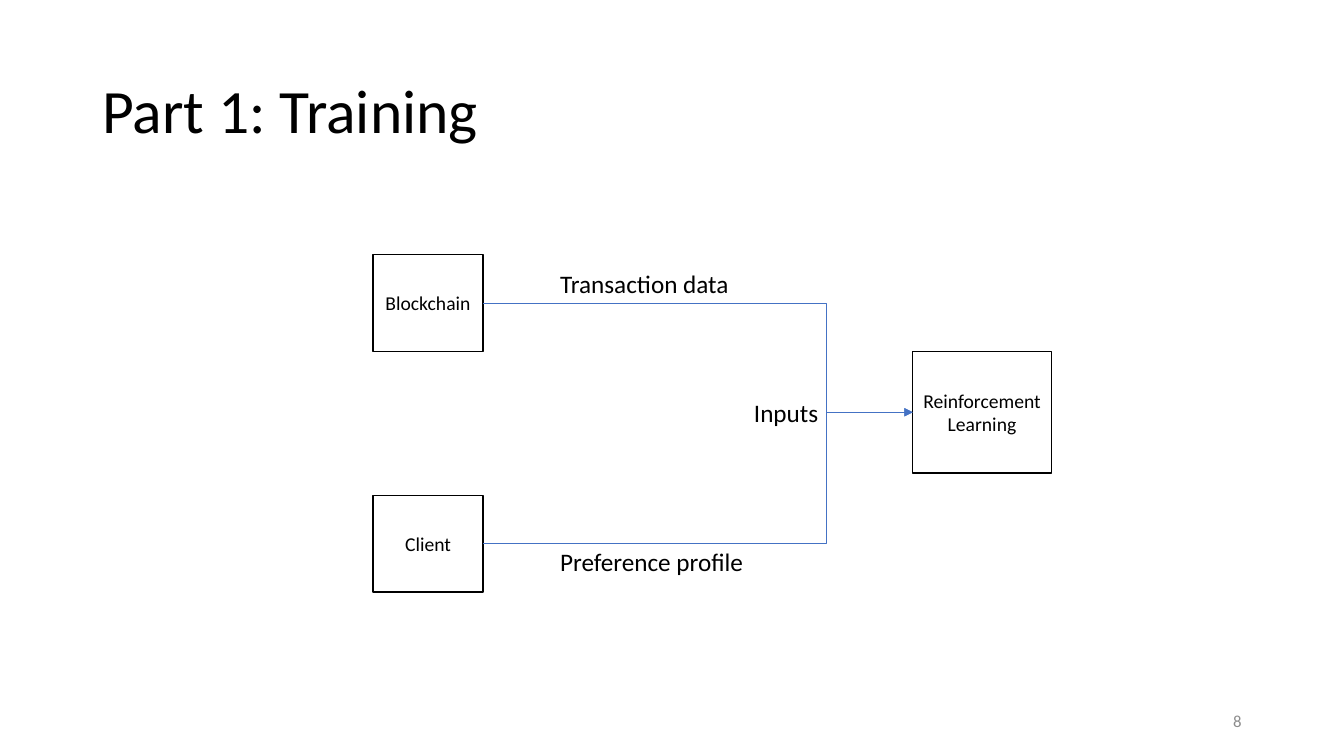
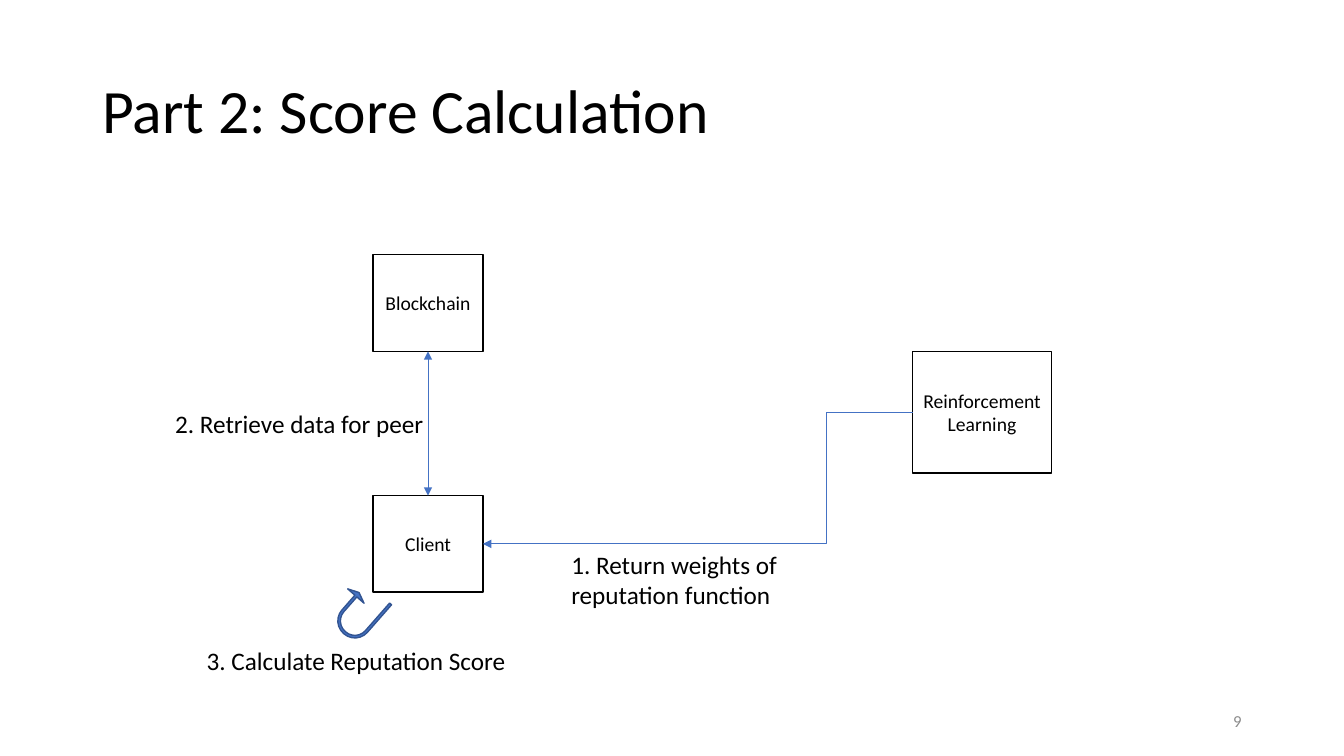
from lxml import etree
from pptx import Presentation
from pptx.dml.color import RGBColor
from pptx.enum.shapes import MSO_CONNECTOR, MSO_SHAPE
from pptx.enum.text import MSO_ANCHOR, MSO_AUTO_SIZE, PP_ALIGN
from pptx.oxml.ns import qn
from pptx.util import Pt

RECTANGLE = MSO_SHAPE.RECTANGLE
U_TURN = MSO_SHAPE.U_TURN_ARROW
STRAIGHT = MSO_CONNECTOR.STRAIGHT
ELBOW = MSO_CONNECTOR.ELBOW
MIDDLE = MSO_ANCHOR.MIDDLE
LEFT, CENTER, RIGHT = PP_ALIGN.LEFT, PP_ALIGN.CENTER, PP_ALIGN.RIGHT
NO_FIT = MSO_AUTO_SIZE.NONE
GROW = MSO_AUTO_SIZE.SHAPE_TO_FIT_TEXT
TOP_SIDE, LEFT_SIDE, BOTTOM_SIDE, RIGHT_SIDE = range(4)
TITLE_ONLY = 5


def color(value):
    return RGBColor.from_string(value)


class DiagramDeck:
    FONT = "Calibri"
    BLACK = "000000"
    WHITE = "FFFFFF"
    GRAY = "8C8C8C"
    BLUE = "4472C4"
    DARK_BLUE = "325491"

    def __init__(self):
        self.deck = Presentation()
        self.deck.slide_width = Pt(960)
        self.deck.slide_height = Pt(540)
        self.page = None

    def place(self, shape, left, top, width, height):
        shape.left, shape.top = Pt(left), Pt(top)
        shape.width, shape.height = Pt(width), Pt(height)

    def set_text(self, frame, text, size, align=LEFT, ink=BLACK):
        frame.text = text
        for paragraph in frame.paragraphs:
            paragraph.alignment = align
            paragraph.font.name = self.FONT
            paragraph.font.size = Pt(size)
            paragraph.font.color.rgb = color(ink)

    def add_page(self, title, number):
        self.page = self.deck.slides.add_slide(self.deck.slide_layouts[TITLE_ONLY])
        heading = self.page.shapes.title
        self.place(heading, 66, 29, 828, 104)
        frame = heading.text_frame
        frame.auto_size = NO_FIT
        frame.vertical_anchor = MIDDLE
        self.set_text(frame, title, 44)
        frame.paragraphs[0].line_spacing = 0.9
        footer = self.label(str(number), 678, 500.5, 216, 12, RIGHT, self.GRAY)
        footer.text_frame.word_wrap = True
        footer.text_frame.auto_size = NO_FIT
        footer.text_frame.vertical_anchor = MIDDLE

    def label(self, text, left, top, width, size=18, align=LEFT, ink=BLACK):
        lines = text.count("\n") + 1
        height = 7.2 + 21.6 * lines
        box = self.page.shapes.add_textbox(Pt(left), Pt(top), Pt(width), Pt(height))
        box.text_frame.word_wrap = False
        box.text_frame.auto_size = GROW
        self.set_text(box.text_frame, text, size, align, ink)
        return box

    def shape(self, kind, left, top, width, height, fill, outline):
        shape = self.page.shapes.add_shape(
            kind, Pt(left), Pt(top), Pt(width), Pt(height))
        shape.shadow.inherit = False
        shape.fill.solid()
        shape.fill.fore_color.rgb = color(fill)
        shape.line.color.rgb = color(outline)
        shape.line.width = Pt(1)
        return shape

    def node(self, text, left, top, width, height):
        box = self.shape(RECTANGLE, left, top, width, height, self.WHITE, self.BLACK)
        frame = box.text_frame
        frame.word_wrap = True
        frame.margin_left = frame.margin_right = Pt(3.6)
        frame.vertical_anchor = MIDDLE
        self.set_text(frame, text, 14, CENTER)
        return box

    def loop_arrow(self, left, top, width, height, rotation, adjustments):
        arrow = self.shape(U_TURN, left, top, width, height, self.BLUE, self.DARK_BLUE)
        arrow.rotation = rotation
        for index, value in enumerate(adjustments):
            arrow.adjustments[index] = value

    def link(self, start, start_side, end, end_side, bend=None, both_ends=False):
        kind = STRAIGHT if bend is None else ELBOW
        connector = self.page.shapes.add_connector(kind, 0, 0, 0, 0)
        connector.begin_connect(start, start_side)
        connector.end_connect(end, end_side)
        connector.line.color.rgb = color(self.BLUE)
        connector.line.width = Pt(0.5)
        properties = connector._element.spPr
        outline = properties.find(qn("a:ln"))
        for tag in ("a:headEnd", "a:tailEnd") if both_ends else ("a:tailEnd",):
            etree.SubElement(outline, qn(tag), type="triangle")
        etree.SubElement(properties, qn("a:effectLst"))
        if bend is not None:
            geometry = properties.find(qn("a:prstGeom"))
            guides = geometry.find(qn("a:avLst"))
            if guides is None:
                guides = etree.SubElement(geometry, qn("a:avLst"))
            etree.SubElement(guides, qn("a:gd"), name="adj1",
                             fmla=f"val {round(bend * 100000)}")

    def actors(self):
        client = self.node("Client", 266.5, 354, 78.5, 69)
        blockchain = self.node("Blockchain", 266.5, 182, 78.5, 69)
        learning = self.node("Reinforcement Learning", 652, 251, 99, 87)
        return client, blockchain, learning

    def training(self):
        self.add_page("Part 1: Training", 8)
        client, blockchain, learning = self.actors()
        self.label("Transaction data", 393, 188, 184)
        self.label("Preference profile", 393, 386.5, 147)
        self.label("Inputs", 531.5, 280, 61)
        for source in (client, blockchain):
            self.link(source, RIGHT_SIDE, learning, LEFT_SIDE, bend=0.8)

    def score_calculation(self):
        self.add_page("Part 2: Score Calculation", 9)
        client, blockchain, learning = self.actors()
        self.link(learning, LEFT_SIDE, client, RIGHT_SIDE, bend=0.2)
        self.label("1. Return weights of\nreputation function", 401, 389, 169)
        self.link(blockchain, BOTTOM_SIDE, client, TOP_SIDE, both_ends=True)
        self.label("2. Retrieve data for peer", 118, 288, 194)
        self.loop_arrow(240, 417, 31, 38, 221.3, (0.06, 0.25, 0.11, 0.38, 0.77))
        self.label("3. Calculate Reputation Score", 140.5, 457.5, 230)


def main():
    diagrams = DiagramDeck()
    diagrams.training()
    diagrams.score_calculation()
    diagrams.deck.save("out.pptx")


if __name__ == "__main__":
    main()
